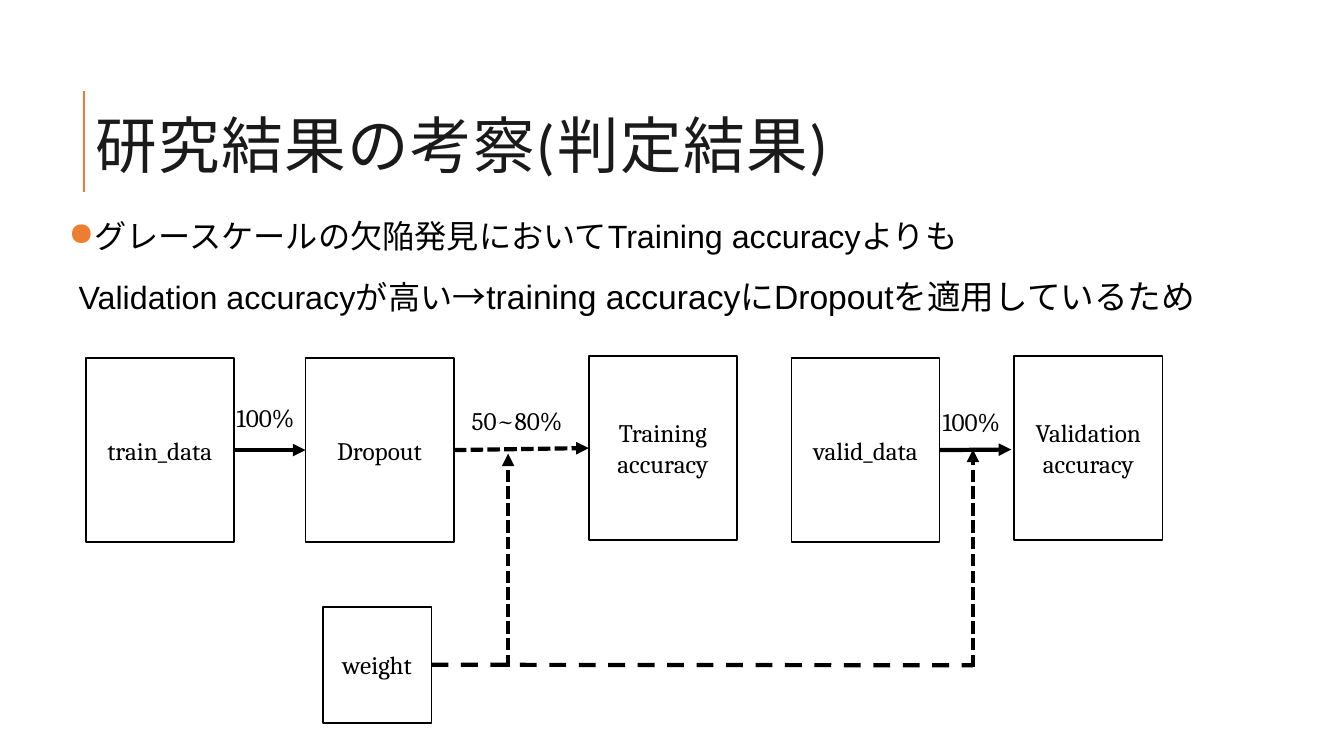
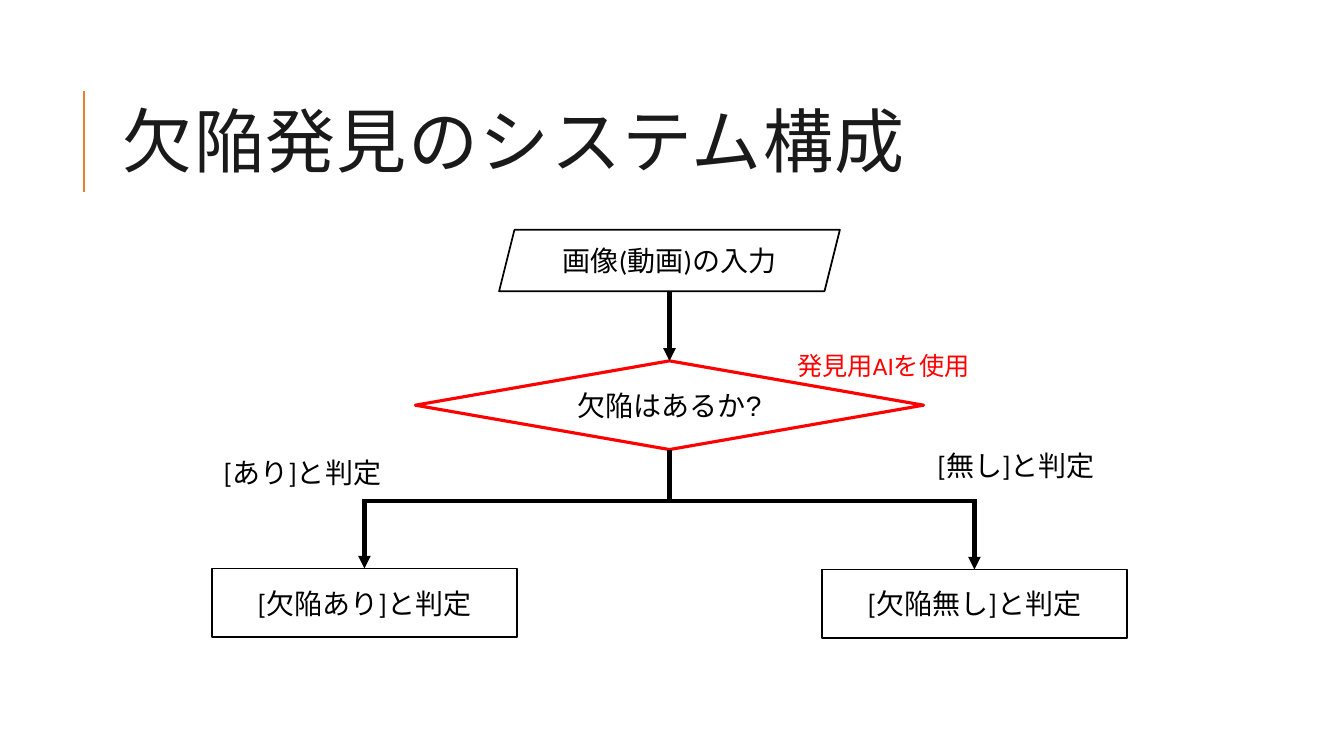
from dataclasses import dataclass

from lxml.etree import SubElement
from pptx import Presentation
from pptx.dml.color import RGBColor as RGB
from pptx.enum.dml import MSO_LINE as DASH
from pptx.enum.lang import MSO_LANGUAGE_ID as LANG
from pptx.enum.shapes import MSO_CONNECTOR, MSO_SHAPE as SHAPE
from pptx.enum.text import MSO_ANCHOR as ANCHOR, PP_ALIGN as ALIGN
from pptx.oxml.ns import qn
from pptx.util import Inches, Pt

TOP, LEFT, BOTTOM, RIGHT = range(4)


@dataclass(frozen=True)
class Theme:
    ink: str = "000000"
    title: str = "1A1A1A"
    accent: str = "ED7D31"
    alert: str = "FF0000"
    paper: str = "FFFFFF"
    sans: str = "Calibri"
    body: str = "Arial"
    serif: str = "Cambria"
    small: int = 18
    medium: int = 20
    outline: float = 1.25
    thin: float = 2.25
    thick: float = 3


class Deck:
    def __init__(self, theme):
        self.t = theme
        self.prs = Presentation()
        self.prs.slide_width = Inches(13.33)
        self.prs.slide_height = Inches(7.5)
        self.s = None

    def run(self, p, text, size, font, color):
        r = p.add_run()
        r.text = text
        r.font.size, r.font.name = Pt(size), font
        r.font.color.rgb = RGB.from_string(color)
        r.font.language_id = LANG.JAPANESE
        return r

    def frame(self, x, y, w, h):
        tf = self.s.shapes.add_textbox(*map(Inches, (x, y, w, h))).text_frame
        tf.word_wrap = True
        return tf

    def slide(self, title, x, y, w, size):
        """Start a slide with the accent rule and its title."""
        self.s = self.prs.slides.add_slide(self.prs.slide_layouts[6])
        self.line((0.83, 1.9), (0.83, 0.9), 1.5, color=self.t.accent)
        tf = self.frame(x, y, w, 1.64)
        tf.vertical_anchor = ANCHOR.MIDDLE
        p = tf.paragraphs[0]
        p.line_spacing = 0.8
        r = self.run(p, title, size, self.t.sans, self.t.title)
        r.font.element.set("spc", "100") if hasattr(r.font, "element") else \
            p.runs[0].font._element.set("spc", "100")

    def bullet(self, x, y, w, h, lines):
        """One bulleted paragraph; each line is a list of (text, size)."""
        tf = self.frame(x, y, w, h)
        tf.margin_left = tf.margin_right = Inches(0.05)
        p = tf.paragraphs[0]
        pPr = p._p.get_or_add_pPr()
        pPr.set("marL", str(Inches(0.1)))
        pPr.set("indent", str(Inches(-0.1)))
        SubElement(SubElement(pPr, qn("a:buClr")), qn("a:srgbClr"), val=self.t.accent)
        SubElement(pPr, qn("a:buChar"), char="●")
        p.line_spacing, p.space_after = 1.5, Pt(2)
        for i, line in enumerate(lines):
            if i:
                p.add_line_break()
            for text, size in line:
                self.run(p, text, size, self.t.body, self.t.ink)

    def label(self, text, x, y, w, size, font, color=None):
        p = self.frame(x, y, w, 0.4).paragraphs[0]
        self.run(p, text, size, font, color or self.t.ink)

    def box(self, text, x, y, w, h, size, font, kind=SHAPE.RECTANGLE,
            color=None, weight=None):
        sp = self.s.shapes.add_shape(kind, *map(Inches, (x, y, w, h)))
        sp.shadow.inherit = False
        sp.fill.solid()
        sp.fill.fore_color.rgb = RGB.from_string(self.t.paper)
        sp.line.color.rgb = RGB.from_string(color or self.t.ink)
        sp.line.width = Pt(weight or self.t.outline)
        tf = sp.text_frame
        tf.word_wrap, tf.vertical_anchor = True, ANCHOR.MIDDLE
        p = tf.paragraphs[0]
        p.alignment = ALIGN.CENTER
        self.run(p, text, size, font, self.t.ink)
        return sp

    def line(self, start, end, weight=None, arrow=False, dash=None, color=None):
        """Each end is an (x, y) point in inches or a (shape, side) pair."""
        joins = [isinstance(e[0], (int, float)) for e in (start, end)]
        a, b = [e if free else (0, 0) for e, free in zip((start, end), joins)]
        cx = self.s.shapes.add_connector(MSO_CONNECTOR.STRAIGHT, *map(Inches, (*a, *b)))
        if not joins[0]:
            cx.begin_connect(*start)
        if not joins[1]:
            cx.end_connect(*end)
        cx.line.color.rgb = RGB.from_string(color or self.t.ink)
        cx.line.width = Pt(weight or self.t.thick)
        if dash:
            cx.line.dash_style = dash
        spPr = cx.element.spPr
        if arrow:
            SubElement(spPr.find(qn("a:ln")), qn("a:tailEnd"), type="triangle")
        SubElement(spPr, qn("a:effectLst"))


def accuracy_slide(d):
    t = d.t
    d.slide("研究結果の考察(判定結果)", 0.85, 0.68, 10.83, 44)
    d.bullet(0.63, 1.91, 12.7, 2.24, [
        [("グレースケールの欠陥発見においてTraining accuracyよりも", 23)],
        [("Validation accuracyが高い", 23),
         ("→training accuracyにDropoutを適用しているため", 24)],
    ])

    # Data and accuracy boxes
    train, dropout, train_acc, valid, valid_acc = [
        d.box(text, x, y, 1.47, 1.83, t.small, t.serif) for text, x, y in (
            ("train_data", 0.85, 3.55), ("Dropout", 3.03, 3.55),
            ("Training accuracy", 5.84, 3.53), ("valid_data", 7.85, 3.55),
            ("Validation accuracy", 10.06, 3.53))]
    weight = d.box("weight", 3.2, 6.02, 1.08, 1.15, t.small, t.serif)

    # Data flow
    d.line((train, RIGHT), (dropout, LEFT), arrow=True)
    d.line((dropout, RIGHT), (train_acc, LEFT), arrow=True, dash=DASH.SQUARE_DOT)
    d.line((valid, RIGHT), (10.03, 4.46), arrow=True)

    # Weight feeding both flows
    d.line((weight, RIGHT), (9.65, 6.6), dash=DASH.DASH)
    for x, y in ((5.04, 4.5), (9.65, 4.46)):
        d.line((x, 6.62), (x, y), arrow=True, dash=DASH.SQUARE_DOT)

    # Share of units in use
    for text, x, y in (("50~80%", 4.58, 3.97), ("100%", 2.25, 3.94), ("100%", 9.25, 3.98)):
        d.label(text, x, y, 1.23, t.small, t.serif)


def system_slide(d):
    t = d.t
    mid, fork = 6.64, 4.97
    d.slide("欠陥発見のシステム構成", 1.12, 0.64, 11.08, 50)

    # Input and decision
    d.box("画像(動画)の入力", 4.95, 2.28, 3.38, 0.61, t.medium, t.sans, SHAPE.PARALLELOGRAM)
    decision = d.box("欠陥はあるか?", 4.12, 3.58, 5.04, 0.88, t.medium, t.body,
                     SHAPE.DIAMOND, t.alert, t.thin)
    d.line((mid, 2.9), (decision, TOP), arrow=True)
    d.line((decision, BOTTOM), (mid, fork))
    d.label("発見用AIを使用", 7.81, 3.43, 2.83, t.small, t.sans, t.alert)

    # Two outcomes
    for text, x, y, note, note_x, note_y in (
            ("[欠陥あり]と判定", 2.1, 5.64, "[あり]と判定", 2.12, 4.47),
            ("[欠陥無し]と判定", 8.15, 5.65, "[無し]と判定", 9.2, 4.4)):
        result = d.box(text, x, y, 3.03, 0.68, t.medium, t.sans)
        branch = x + 3.03 / 2
        d.line((mid, fork), (branch, fork), t.thin)
        d.line((branch, fork - 0.02), (result, TOP), arrow=True)
        d.label(note, note_x, note_y, 2.16, t.medium, t.sans)


def main():
    d = Deck(Theme())
    accuracy_slide(d)
    system_slide(d)
    d.prs.save("out.pptx")


if __name__ == "__main__":
    main()
